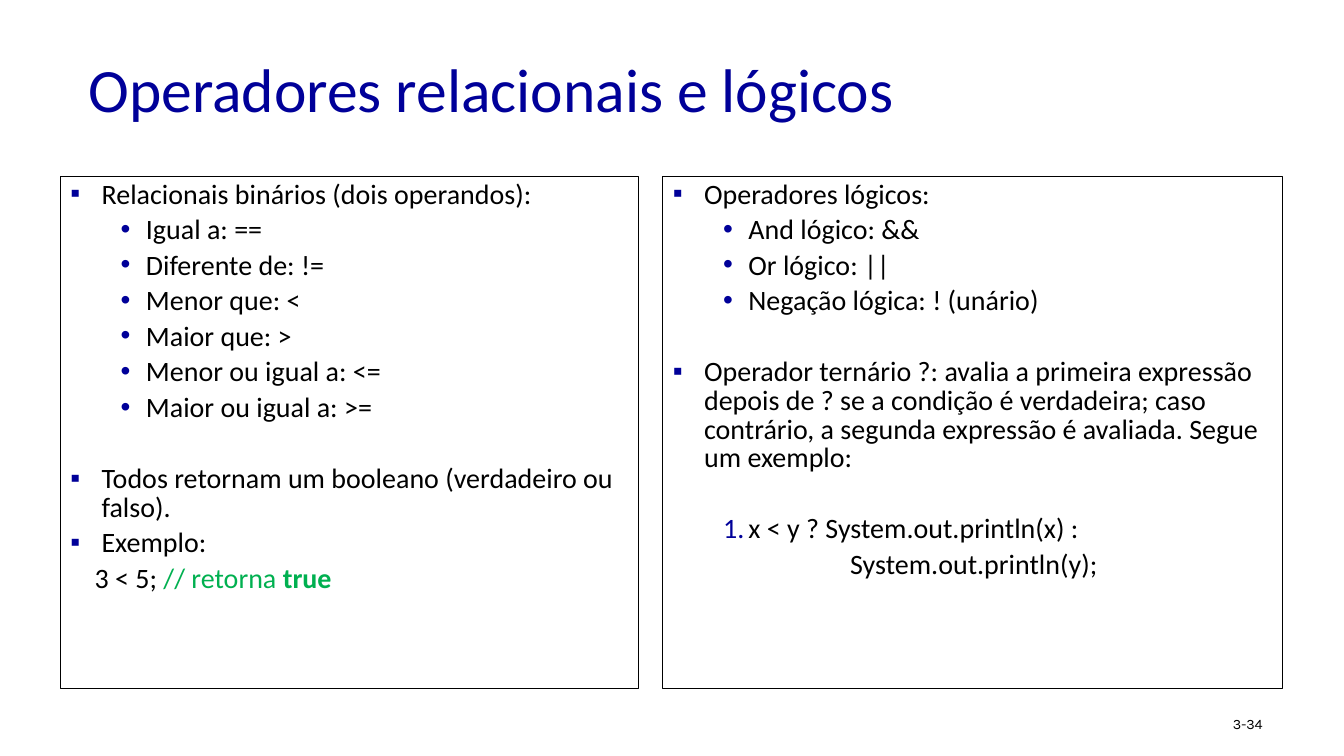
"""Build the slide on relational and logical operators."""
from dataclasses import dataclass

from lxml import etree
from pptx import Presentation
from pptx.dml.color import RGBColor
from pptx.enum.shapes import MSO_SHAPE
from pptx.enum.text import MSO_ANCHOR, PP_ALIGN
from pptx.oxml.ns import qn
from pptx.util import Inches, Pt

RECTANGLE = MSO_SHAPE.RECTANGLE
TOP, MIDDLE = MSO_ANCHOR.TOP, MSO_ANCHOR.MIDDLE
LEFT = PP_ALIGN.LEFT


@dataclass(frozen=True)
class Theme:
    navy: str = "000099"
    ink: str = "000000"
    comment: str = "00B050"
    font: str = "Calibri"
    number_font: str = "Karla"
    title_size: float = 44
    body_size: float = 20
    number_size: float = 10.2
    border: float = 0.75
    body_spacing: float = 0.85
    item_gap: float = 5
    section_gap: float = 30.4


@dataclass(frozen=True)
class ItemStyle:
    level: int
    margin: float
    hanging: float = 0
    bullet: str = ""


TOPIC = ItemStyle(0, 0.31, 0.31, "▪")
DETAIL = ItemStyle(1, 0.75, 0.25, "•")
NUMBERED = ItemStyle(1, 0.75, 0.25, "1.")
CODE = ItemStyle(0, 0.24)
CODE_CONTINUED = ItemStyle(1, 1.76)


class SlideBuilder:
    def __init__(self, presentation, theme):
        self.presentation = presentation
        self.theme = theme
        self.slide = presentation.slides.add_slide(presentation.slide_layouts[6])

    def area(self, left, top, width, height):
        across = self.presentation.slide_width / 100
        down = self.presentation.slide_height / 100
        return [round(length) for length in
                (left * across, top * down, width * across, height * down)]

    def format_run(self, run, size, color, font, bold=None):
        run.font.size = Pt(size)
        run.font.name = font
        run.font.bold = bold
        run.font.color.rgb = RGBColor.from_string(color)

    def label(self, area, text, size, color, font, anchor=TOP, spacing=1.0):
        text_frame = self.slide.shapes.add_textbox(*self.area(*area)).text_frame
        text_frame.word_wrap = True
        text_frame.vertical_anchor = anchor
        text_frame.text = text
        paragraph = text_frame.paragraphs[0]
        paragraph.line_spacing = spacing
        self.format_run(paragraph.runs[0], size, color, font)

    def panel(self, area, items):
        shape = self.slide.shapes.add_shape(RECTANGLE, *self.area(*area))
        shape.shadow.inherit = False
        shape.fill.background()
        shape.line.color.rgb = RGBColor.from_string(self.theme.ink)
        shape.line.width = Pt(self.theme.border)
        text_frame = shape.text_frame
        text_frame.word_wrap = True
        text_frame.vertical_anchor = TOP
        for index, (style, content, *section) in enumerate(items):
            paragraph = text_frame.add_paragraph() if index else text_frame.paragraphs[0]
            gap = self.theme.section_gap if section else self.theme.item_gap
            self.item(paragraph, style, content, gap if index else 0)

    def item(self, paragraph, style, content, gap):
        paragraph.alignment = LEFT
        paragraph.level = style.level
        paragraph.line_spacing = self.theme.body_spacing
        paragraph.space_before = Pt(gap)
        self.bullet(paragraph, style)
        pieces = [(content, self.theme.ink, None)] if isinstance(content, str) else content
        for text, color, bold in pieces:
            run = paragraph.add_run()
            run.text = text
            self.format_run(run, self.theme.body_size, color, self.theme.font, bold)

    def bullet(self, paragraph, style):
        properties = paragraph._p.get_or_add_pPr()
        properties.set("marL", str(Inches(style.margin)))
        properties.set("indent", str(-Inches(style.hanging)))
        if not style.bullet:
            etree.SubElement(properties, qn("a:buNone"))
            return
        color = etree.SubElement(properties, qn("a:buClr"))
        etree.SubElement(color, qn("a:srgbClr"), val=self.theme.navy)
        if style is NUMBERED:
            etree.SubElement(properties, qn("a:buAutoNum"), type="arabicPeriod")
        else:
            etree.SubElement(properties, qn("a:buFont"), typeface="Arial")
            etree.SubElement(properties, qn("a:buChar"), char=style.bullet)


def main():
    presentation = Presentation()
    presentation.slide_width = Inches(13.34)
    presentation.slide_height = Inches(7.5)
    theme = Theme()
    builder = SlideBuilder(presentation, theme)

    builder.label((5.85, 3.33, 84.93, 16.67), "Operadores relacionais e lógicos",
                  theme.title_size, theme.navy, theme.font, anchor=MIDDLE)

    comparisons = ["Igual a: ==", "Diferente de: !=", "Menor que: <", "Maior que: >",
                   "Menor ou igual a: <=", "Maior ou igual a: >="]
    example = [("3 < 5; ", theme.ink, None),
               ("// retorna ", theme.comment, None),
               ("true", theme.comment, True)]
    builder.panel((4.5, 23.33, 43.03, 67.73), [
        (TOPIC, "Relacionais binários (dois operandos):"),
        *[(DETAIL, comparison) for comparison in comparisons],
        (TOPIC, "Todos retornam um booleano (verdadeiro ou falso).", "section"),
        (TOPIC, "Exemplo:"),
        (CODE, example),
    ])

    connectives = ["And lógico: &&", "Or lógico: ||", "Negação lógica: ! (unário)"]
    builder.panel((49.33, 23.33, 46.1, 67.73), [
        (TOPIC, "Operadores lógicos:"),
        *[(DETAIL, connective) for connective in connectives],
        (TOPIC, "Operador ternário ?: avalia a primeira expressão depois de ? se a "
                "condição é verdadeira; caso contrário, a segunda expressão é avaliada. "
                "Segue um exemplo:", "section"),
        (NUMBERED, "x < y ? System.out.println(x) :", "section"),
        (CODE_CONTINUED, "System.out.println(y);"),
    ])

    builder.label((91, 94.27, 7.42, 4), "3-34", theme.number_size, theme.ink,
                  theme.number_font, spacing=0.9)
    presentation.save("out.pptx")


if __name__ == "__main__":
    main()
